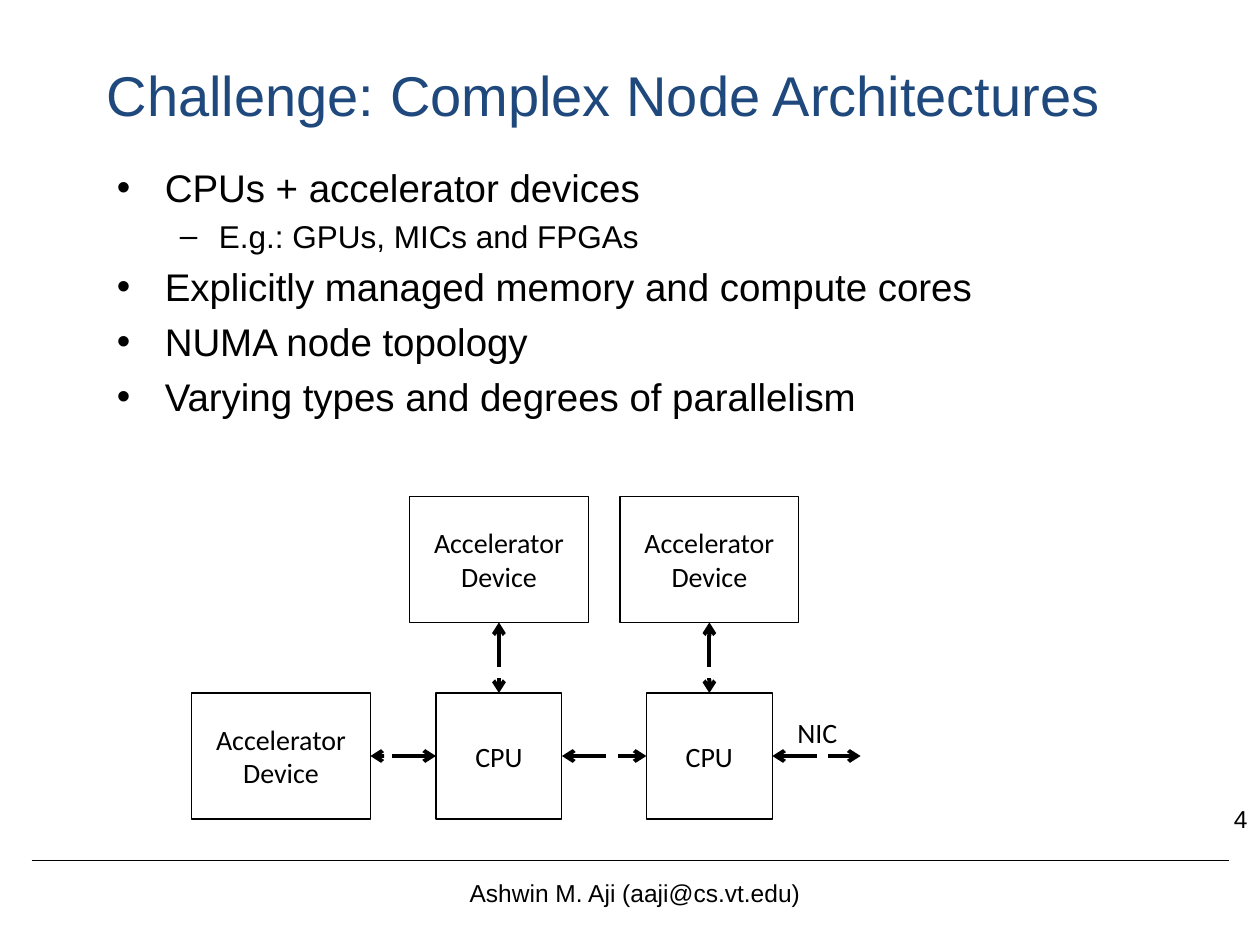
"""Build a slide on complex node architectures with a CPU and accelerator diagram."""
from dataclasses import dataclass
from typing import Any, Optional

from lxml.etree import SubElement
from pptx import Presentation
from pptx.dml.color import RGBColor
from pptx.enum.dml import MSO_LINE
from pptx.enum.shapes import MSO_CONNECTOR, MSO_SHAPE
from pptx.enum.text import MSO_ANCHOR, PP_ALIGN
from pptx.oxml.ns import qn
from pptx.util import Inches, Pt

BLACK = RGBColor(0x00, 0x00, 0x00)
NAVY = RGBColor(0x1F, 0x49, 0x7D)
TOP, LEFT, BOTTOM, RIGHT = range(4)

UPPER_ROW, LOWER_ROW = 3.94, 5.5
BOX_HEIGHT = 1.0
CPU_WIDTH, ACCELERATOR_WIDTH = 1.0, 1.42
FIRST_CPU_CENTER, SECOND_CPU_CENTER = 3.96, 5.63
SIDE_ACCELERATOR_CENTER = 2.23
NIC_END = 6.83


@dataclass(frozen=True)
class Level:
    bullet: str
    margin: float
    hanging: float
    size: int
    space_before: int


@dataclass(frozen=True)
class Label:
    text: str
    left: float
    top: float
    width: float
    height: float
    size: int
    font: str = "Arial"
    color: RGBColor = BLACK
    align: PP_ALIGN = PP_ALIGN.LEFT
    anchor: MSO_ANCHOR = MSO_ANCHOR.TOP
    wrap: bool = True


@dataclass(frozen=True)
class Unit:
    text: str
    center: float
    top: float
    width: float


@dataclass(frozen=True)
class Link:
    start: str
    start_side: int
    end: Optional[str] = None
    end_side: int = LEFT


MAIN = Level("•", 0.38, 0.38, 22, 5)
DETAIL = Level("–", 0.81, 0.31, 18, 4)
POINTS = [
    (MAIN, "CPUs + accelerator devices"),
    (DETAIL, "E.g.: GPUs, MICs and FPGAs"),
    (MAIN, "Explicitly managed memory and compute cores"),
    (MAIN, "NUMA node topology"),
    (MAIN, "Varying types and degrees of parallelism"),
]
LABELS = [
    Label("Challenge: Complex Node Architectures", 0.75, 0.33, 8.5, 0.83, 32,
          color=NAVY, anchor=MSO_ANCHOR.MIDDLE),
    Label("NIC", 6.23, 5.63, 0.52, 0.37, 16, font="Calibri", wrap=False),
    Label("Ashwin M. Aji (aaji@cs.vt.edu)", 2.5, 6.92, 5.08, 0.33, 14,
          align=PP_ALIGN.CENTER),
    Label("4", 9.5, 6.33, 0.5, 0.5, 14, align=PP_ALIGN.RIGHT),
]
ACCELERATOR = "Accelerator\nDevice"
UNITS = {
    "first accelerator": Unit(ACCELERATOR, FIRST_CPU_CENTER, UPPER_ROW, ACCELERATOR_WIDTH),
    "second accelerator": Unit(ACCELERATOR, SECOND_CPU_CENTER, UPPER_ROW, ACCELERATOR_WIDTH),
    "side accelerator": Unit(ACCELERATOR, SIDE_ACCELERATOR_CENTER, LOWER_ROW, ACCELERATOR_WIDTH),
    "first cpu": Unit("CPU", FIRST_CPU_CENTER, LOWER_ROW, CPU_WIDTH),
    "second cpu": Unit("CPU", SECOND_CPU_CENTER, LOWER_ROW, CPU_WIDTH),
}
LINKS = [
    Link("first accelerator", BOTTOM, "first cpu", TOP),
    Link("second accelerator", BOTTOM, "second cpu", TOP),
    Link("first cpu", LEFT, "side accelerator", RIGHT),
    Link("first cpu", RIGHT, "second cpu", LEFT),
    Link("second cpu", RIGHT),
]


def apply_format(target: Any, values: dict[str, Any]) -> None:
    """Set every attribute named in the format values."""
    for attribute, value in values.items():
        setattr(target, attribute, value)


def write_run(paragraph: Any, text: str, size: int, font: str, color: RGBColor = BLACK) -> None:
    """Add one formatted run to a paragraph."""
    run = paragraph.add_run()
    run.text = text
    apply_format(run.font, {"size": Pt(size), "name": font})
    run.font.color.rgb = color


def draw_label(slide: Any, label: Label) -> None:
    """Draw a one-paragraph text box."""
    box = slide.shapes.add_textbox(
        Inches(label.left), Inches(label.top), Inches(label.width), Inches(label.height))
    apply_format(box.text_frame, {"word_wrap": label.wrap, "vertical_anchor": label.anchor})
    paragraph = box.text_frame.paragraphs[0]
    paragraph.alignment = label.align
    write_run(paragraph, label.text, label.size, label.font, label.color)


def draw_points(slide: Any) -> None:
    """Draw the two-level bullet list."""
    frame = slide.shapes.add_textbox(
        Inches(0.83), Inches(1.25), Inches(8.17), Inches(5.28)).text_frame
    frame.word_wrap = True
    for index, (level, text) in enumerate(POINTS):
        paragraph = frame.add_paragraph() if index else frame.paragraphs[0]
        properties = paragraph._p.get_or_add_pPr()
        properties.set("marL", str(Inches(level.margin)))
        properties.set("indent", str(-Inches(level.hanging)))
        SubElement(properties, qn("a:buFont"), typeface="Arial")
        SubElement(properties, qn("a:buChar"), char=level.bullet)
        paragraph.level = 1 if level is DETAIL else 0
        if index:
            paragraph.space_before = Pt(level.space_before)
        write_run(paragraph, text, level.size, "Arial")


def draw_unit(slide: Any, unit: Unit) -> Any:
    """Draw one outlined hardware box and return it."""
    box = slide.shapes.add_shape(
        MSO_SHAPE.RECTANGLE, Inches(unit.center - unit.width / 2), Inches(unit.top),
        Inches(unit.width), Inches(BOX_HEIGHT))
    box.shadow.inherit = False
    box.fill.background()
    box.line.color.rgb = BLACK
    box.line.width = Pt(0.75)
    frame = box.text_frame
    apply_format(frame, {"word_wrap": True, "vertical_anchor": MSO_ANCHOR.MIDDLE})
    for index, text in enumerate(unit.text.split("\n")):
        paragraph = frame.add_paragraph() if index else frame.paragraphs[0]
        paragraph.alignment = PP_ALIGN.CENTER
        write_run(paragraph, text, 16, "Calibri")
    return box


def draw_line(slide: Any, start: tuple[float, float], end: tuple[float, float],
              width: float) -> Any:
    """Draw a black straight line without shadow and return it."""
    line = slide.shapes.add_connector(
        MSO_CONNECTOR.STRAIGHT, *(Inches(value) for value in (*start, *end)))
    line.line.color.rgb = BLACK
    line.line.width = Pt(width)
    SubElement(line._element.spPr, qn("a:effectLst"))
    return line


def draw_link(slide: Any, link: Link, boxes: dict[str, Any]) -> None:
    """Draw a dashed double arrow joined to its boxes."""
    row_middle = LOWER_ROW + BOX_HEIGHT / 2
    arrow = draw_line(slide, (NIC_END, row_middle), (NIC_END, row_middle), 2.25)
    arrow.begin_connect(boxes[link.start], link.start_side)
    if link.end:
        arrow.end_connect(boxes[link.end], link.end_side)
    arrow.line.dash_style = MSO_LINE.LONG_DASH
    for tip in ("a:headEnd", "a:tailEnd"):
        SubElement(arrow.line._get_or_add_ln(), qn(tip), type="arrow")


def main() -> None:
    """Build and save the slide."""
    presentation = Presentation()
    apply_format(presentation, {"slide_width": Inches(10), "slide_height": Inches(7.5)})
    slide = presentation.slides.add_slide(presentation.slide_layouts[6])
    draw_line(slide, (0.25, 6.83), (9.75, 6.83), 0.25)
    draw_points(slide)
    boxes = {name: draw_unit(slide, unit) for name, unit in UNITS.items()}
    for link in LINKS:
        draw_link(slide, link, boxes)
    for label in LABELS:
        draw_label(slide, label)
    presentation.save("out.pptx")


if __name__ == "__main__":
    main()
